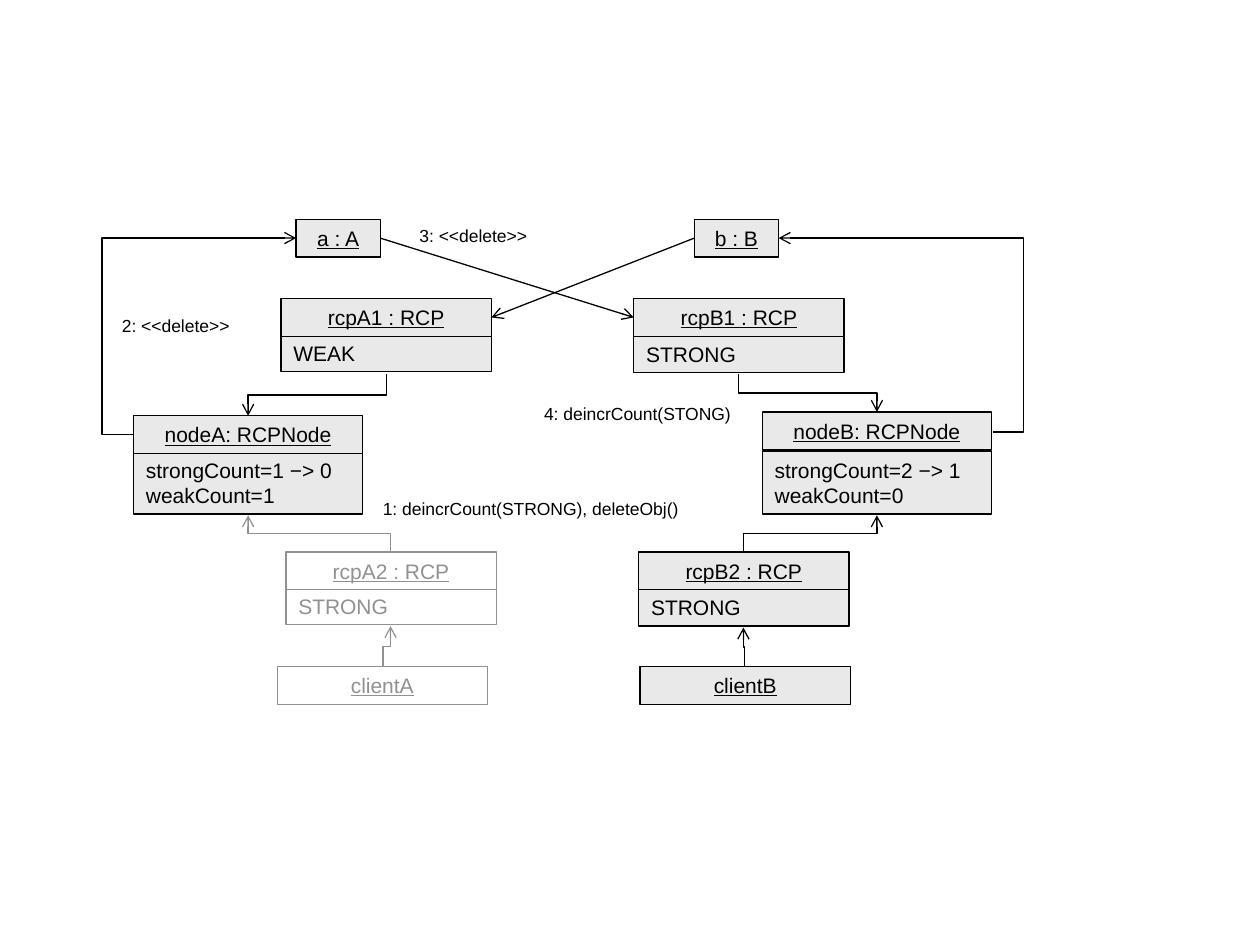
from typing import NamedTuple, Optional

from pptx import Presentation
from pptx import util as u
from pptx.dml.color import RGBColor
from pptx.enum import shapes, text
from pptx.oxml import parse_xml
from pptx.oxml.ns import nsdecls

FONT = "Arial"
BLACK, GREY, PALE, WHITE = "000000", "919191", "E9E9E9", "FFFFFF"
ROW_H = 21.6
LABEL_H = 19.4
LEFT, RIGHT = 1, 3  # connection sites of a rectangle


class UmlObject(NamedTuple):
    name: str
    x: float
    y: float
    width: float
    state: tuple = ()
    state_y: float = 0
    state_h: float = ROW_H
    deleted: bool = False


class Elbow(NamedTuple):
    start: tuple
    end: tuple
    side_x: Optional[float] = None  # x of the upright for sideways routes
    colour: str = BLACK


class Message(NamedTuple):
    wording: str
    x: float
    y: float
    width: float


OBJECTS = [
    UmlObject("a : A", 169.2, 125.3, 48.2),
    UmlObject("b : B", 396.7, 125.3, 48.2),
    UmlObject("rcpA1 : RCP", 160.6, 170.6, 120.2, ("WEAK",), 190.8),
    UmlObject("rcpB1 : RCP", 362.2, 170.6, 120.2, ("STRONG",), 191.5),
    UmlObject("nodeA: RCPNode", 76.3, 237.6, 131,
              ("strongCount=1 −> 0", "weakCount=1"), 257.8, 36),
    UmlObject("nodeB: RCPNode", 435.6, 235.4, 131,
              ("strongCount=2 −> 1", "weakCount=0"), 257.8, 36),
    UmlObject("rcpA2 : RCP", 163.4, 315.4, 120.2, ("STRONG",), 335.5, deleted=True),
    UmlObject("rcpB2 : RCP", 365, 315.4, 120.2, ("STRONG",), 336.2),
    UmlObject("clientA", 158.4, 380.9, 120.2, deleted=True),
    UmlObject("clientB", 365.8, 380.9, 120.2),
]

ELBOWS = [
    Elbow((76.3, 248.4), (169.2, 136.1), side_x=58.3),   # nodeA to a
    Elbow((567.4, 247), (445, 136.1), side_x=584.8),     # nodeB to b
    Elbow((221, 213.8), (141.8, 237.6)),                 # rcpA1 to nodeA
    Elbow((421.9, 213.8), (501.1, 235.4)),               # rcpB1 to nodeB
    Elbow((223.2, 315.4), (141.8, 294.5), colour=GREY),  # rcpA2 to nodeA
    Elbow((424.8, 315.4), (501.1, 294.5)),               # rcpB2 to nodeB
    Elbow((218.9, 380.9), (223.2, 357.8), colour=GREY),  # clientA to rcpA2
    Elbow((425.5, 380.9), (424.8, 358.6)),               # clientB to rcpB2
]

MESSAGES = [
    Message("1: deincrCount(STRONG), deleteObj()", 211.7, 280.8, 186),
    Message("2: <<delete>>", 62.6, 176.4, 78),
    Message("3: <<delete>>", 232.6, 125.3, 78),
    Message("4: deincrCount(STONG)", 303.8, 227, 123),
]


def rgb(value: str) -> RGBColor:
    return RGBColor.from_string(value)


def write(shape, lines: tuple, size: float, colour: str, wrap: bool = True,
          underline: bool = False, centred: bool = False) -> None:
    frame = shape.text_frame
    frame_format = {
        "word_wrap": wrap,
        "auto_size": text.MSO_AUTO_SIZE.SHAPE_TO_FIT_TEXT,
        "vertical_anchor": text.MSO_ANCHOR.TOP,
        "margin_left": u.Pt(7.2), "margin_right": u.Pt(7.2),
        "margin_top": u.Pt(3.6), "margin_bottom": u.Pt(3.6),
    }
    for key, value in frame_format.items():
        setattr(frame, key, value)
    font_format = {"name": FONT, "size": u.Pt(size), "underline": underline}
    for i, line in enumerate(lines):
        paragraph = frame.add_paragraph() if i else frame.paragraphs[0]
        paragraph.alignment = text.PP_ALIGN.CENTER if centred else text.PP_ALIGN.LEFT
        run = paragraph.add_run()
        run.text = line
        for key, value in font_format.items():
            setattr(run.font, key, value)
        run.font.color.rgb = rgb(colour)


def draw_compartment(slide, obj: UmlObject, y: float, height: float,
                     lines: tuple, is_name: bool):
    ink, fill = (GREY, WHITE) if obj.deleted else (BLACK, PALE)
    box = slide.shapes.add_shape(shapes.MSO_SHAPE.RECTANGLE, u.Pt(obj.x), u.Pt(y),
                                 u.Pt(obj.width), u.Pt(height))
    box.shadow.inherit = False
    box.fill.solid()
    box.fill.fore_color.rgb = rgb(fill)
    box.line.color.rgb = rgb(ink)
    box.line.width = u.Pt(0.75)
    write(box, lines, 12, ink, underline=is_name, centred=is_name)
    return box


def draw_object(slide, obj: UmlObject):
    """Draw the state compartment, then the name compartment, and return the latter."""
    if obj.state:
        draw_compartment(slide, obj, obj.state_y, obj.state_h, obj.state, False)
    return draw_compartment(slide, obj, obj.y, ROW_H, (obj.name,), True)


def draw_arrow(slide, kind, start: tuple, end: tuple, colour: str = BLACK):
    arrow = slide.shapes.add_connector(kind, *(u.Pt(v) for v in (*start, *end)))
    arrow.line.color.rgb = rgb(colour)
    arrow.line.width = u.Pt(0.75)
    arrow.line._get_or_add_ln().append(
        parse_xml(f'<a:tailEnd {nsdecls("a")} type="arrow"/>'))
    arrow._element.spPr.append(parse_xml(f'<a:effectLst {nsdecls("a")}/>'))
    return arrow


def draw_elbow(slide, elbow: Elbow) -> None:
    (x1, y1), (x2, y2) = elbow.start, elbow.end
    kind = shapes.MSO_CONNECTOR.ELBOW
    if elbow.side_x is not None:
        arrow = draw_arrow(slide, kind, elbow.start, elbow.end, elbow.colour)
        bend = round((elbow.side_x - x1) / (x2 - x1) * 100000)
        guides = arrow._element.spPr.prstGeom.get_or_add_avLst()
        guides.append(parse_xml(
            f'<a:gd {nsdecls("a")} name="adj1" fmla="val {bend}"/>'))
        return
    # Upright routes are sideways ones turned a quarter about their centre
    rightward, upward = x2 > x1, y2 < y1
    mid_x, mid_y = (x1 + x2) / 2, (y1 + y2) / 2
    half_w = abs(y2 - y1) / 2 * (-1 if rightward else 1)
    half_h = abs(x2 - x1) / 2 * (-1 if upward else 1)
    arrow = draw_arrow(slide, kind, (mid_x - half_w, mid_y - half_h),
                       (mid_x + half_w, mid_y + half_h), elbow.colour)
    degrees = 90 if rightward == upward else 270
    arrow._element.spPr.xfrm.set("rot", str(degrees * 60000))


def draw_link(slide, source, source_site: int, target, target_site: int) -> None:
    link = draw_arrow(slide, shapes.MSO_CONNECTOR.STRAIGHT, (0, 0), (0, 0))
    link.begin_connect(source, source_site)
    link.end_connect(target, target_site)


def draw_message(slide, message: Message) -> None:
    label = slide.shapes.add_textbox(u.Pt(message.x), u.Pt(message.y),
                                     u.Pt(message.width), u.Pt(LABEL_H))
    write(label, (message.wording,), 10, BLACK, wrap=False)


def main() -> None:
    deck = Presentation()
    deck.slide_width, deck.slide_height = u.Pt(720), u.Pt(540)
    slide = deck.slides.add_slide(deck.slide_layouts[6])

    # Objects with their states
    names = {obj.name: draw_object(slide, obj) for obj in OBJECTS}

    # Pointers between objects
    for elbow in ELBOWS:
        draw_elbow(slide, elbow)
    draw_link(slide, names["b : B"], LEFT, names["rcpA1 : RCP"], RIGHT)
    draw_link(slide, names["a : A"], RIGHT, names["rcpB1 : RCP"], LEFT)

    # Numbered messages
    for message in MESSAGES:
        draw_message(slide, message)

    deck.save("out.pptx")


if __name__ == "__main__":
    main()
